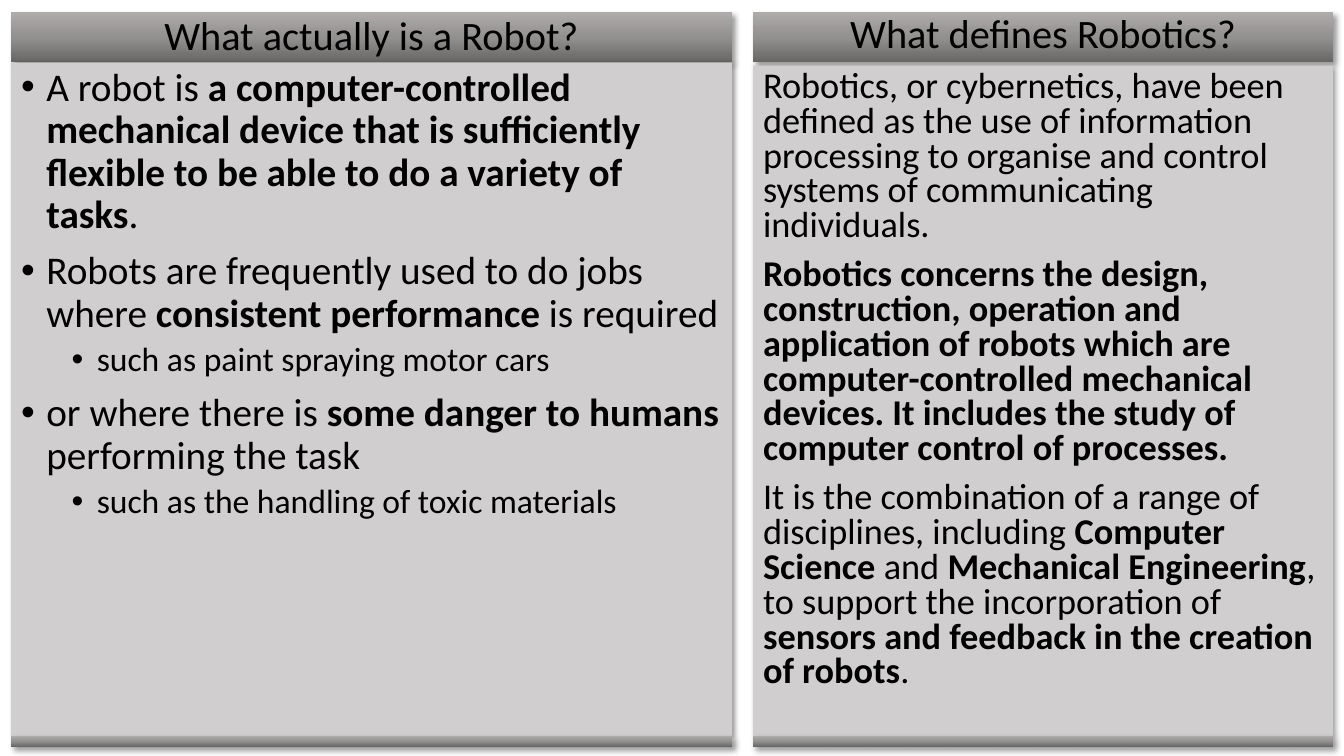
from copy import deepcopy

from lxml.etree import SubElement
from pptx import Presentation
from pptx.dml.color import RGBColor
from pptx.enum.shapes import MSO_SHAPE
from pptx.enum.text import MSO_ANCHOR, MSO_AUTO_SIZE, PP_ALIGN
from pptx.oxml.ns import qn
from pptx.util import Inches, Pt

TOP, HEADER_HEIGHT = 0.12, 0.5
FOOT_TOP, FOOT_HEIGHT = 7.3, 0.11
PANEL_GREY = "D0CECE"
STEEL = ((0, "686565"), (0.5, "939090"), (1, "AFABAB"))

# Each line is (level, text); words between asterisks are bold.
ROBOT_POINTS = [
    (0, "A robot is *a computer-controlled mechanical device that is sufficiently "
        "flexible to be able to do a variety of tasks*."),
    (0, "Robots are frequently used to do jobs where *consistent performance *is required"),
    (1, "such as paint spraying motor cars"),
    (0, "or where there is *some danger to humans *performing the task"),
    (1, "such as the handling of toxic materials"),
]
ROBOTICS_TEXT = [
    "Robotics, or cybernetics, have been defined as the use of information processing "
    "to organise and control systems of communicating individuals.",
    "*Robotics concerns the design, construction, operation and application of robots "
    "which are computer-controlled mechanical devices. It includes the study of "
    "computer control of processes.*",
    "It is the combination of a range of disciplines, including *Computer Science *and "
    "*Mechanical Engineering*, to support the incorporation of *sensors and feedback "
    "in the creation of robots*.",
]


def rgb(hex_colour):
    return RGBColor.from_string(hex_colour)


def place(shape, left, top, width, height):
    shape.left, shape.top = Inches(left), Inches(top)
    shape.width, shape.height = Inches(width), Inches(height)


def add_block(slide):
    return slide.shapes.add_shape(MSO_SHAPE.RECTANGLE, 0, 0, 0, 0)


def fill_steel(shape):
    shape.fill.gradient()
    shape.fill.gradient_angle = 90
    stop_list = shape._element.spPr.find(".//" + qn("a:gsLst"))
    stop_list.append(deepcopy(stop_list[0]))
    for stop, (position, colour) in zip(shape.fill.gradient_stops, STEEL):
        stop.position = position
        stop.color.rgb = rgb(colour)


def fill_plain(shape):
    shape.fill.solid()
    shape.fill.fore_color.rgb = rgb(PANEL_GREY)


def finish(shape):
    """Remove the outline and cast a soft shadow to the lower right."""
    shape.line.fill.background()
    shape.shadow.inherit = False
    effects = shape._element.spPr.find(qn("a:effectLst"))
    shadow = SubElement(effects, qn("a:outerShdw"), blurRad=str(Pt(4)), dist=str(Pt(3)),
                        dir=str(45 * 60000), algn="tl", rotWithShape="0")
    colour = SubElement(shadow, qn("a:srgbClr"), val="000000")
    SubElement(colour, qn("a:alpha"), val="40000")


def prepare_frame(shape, anchor):
    frame = shape.text_frame
    frame.word_wrap = True
    frame.auto_size = MSO_AUTO_SIZE.NONE
    frame.vertical_anchor = anchor
    frame.margin_left = frame.margin_right = Inches(0.1)
    frame.margin_top = frame.margin_bottom = Inches(0.05)
    return frame


def set_bullet(paragraph, level):
    paragraph.level = level
    properties = paragraph._p.get_or_add_pPr()
    properties.set("marL", str(Inches(0.25 + 0.5 * level)))
    properties.set("indent", str(Inches(-0.25)))
    SubElement(properties, qn("a:buFont"), typeface="Arial")
    SubElement(properties, qn("a:buChar"), char="•")


def write(paragraph, text, size, align=PP_ALIGN.LEFT, line_spacing=0.9, space_before=0):
    paragraph.alignment = align
    paragraph.line_spacing = line_spacing
    paragraph.space_before = Pt(space_before)
    for index, part in enumerate(text.split("*")):
        if part:
            run = paragraph.add_run()
            run.text = part
            run.font.name = "Calibri"
            run.font.size = Pt(size)
            run.font.bold = index % 2 == 1
            run.font.color.rgb = rgb("000000")


def next_paragraph(frame, index):
    return frame.add_paragraph() if index else frame.paragraphs[0]


def build_panel(slide, header, body, title, left, width, body_top, line_spacing):
    """Lay out header, body and foot bar; return the body's text frame."""
    place(header, left, TOP, width, HEADER_HEIGHT)
    place(body, left, body_top, width, FOOT_TOP - body_top)
    foot = add_block(slide)
    place(foot, left, FOOT_TOP, width, FOOT_HEIGHT)
    for bar in (header, foot):
        fill_steel(bar)
    fill_plain(body)
    for part in (header, body, foot):
        finish(part)
    heading = prepare_frame(header, MSO_ANCHOR.MIDDLE).paragraphs[0]
    write(heading, title, size=28.8, align=PP_ALIGN.CENTER, line_spacing=line_spacing)
    return prepare_frame(body, MSO_ANCHOR.TOP)


def main():
    presentation = Presentation()
    presentation.slide_width, presentation.slide_height = Inches(13.33), Inches(7.5)
    slide = presentation.slides.add_slide(presentation.slide_layouts[1])

    robot = build_panel(slide, slide.shapes.title, slide.placeholders[1],
                        "What actually is a Robot?", left=0.11, width=7.15,
                        body_top=0.62, line_spacing=0.9)
    for index, (level, point) in enumerate(ROBOT_POINTS):
        paragraph = next_paragraph(robot, index)
        set_bullet(paragraph, level)
        write(paragraph, point, size=24 if level else 28,
              space_before=(5 if level else 10) if index else 0)

    robotics = build_panel(slide, add_block(slide), add_block(slide),
                           "What defines Robotics?", left=7.47, width=5.75,
                           body_top=0.65, line_spacing=0.8)
    for index, text in enumerate(ROBOTICS_TEXT):
        write(next_paragraph(robotics, index), text, size=25.9, line_spacing=0.8,
              space_before=10 if index else 0)

    presentation.save("out.pptx")


if __name__ == "__main__":
    main()
